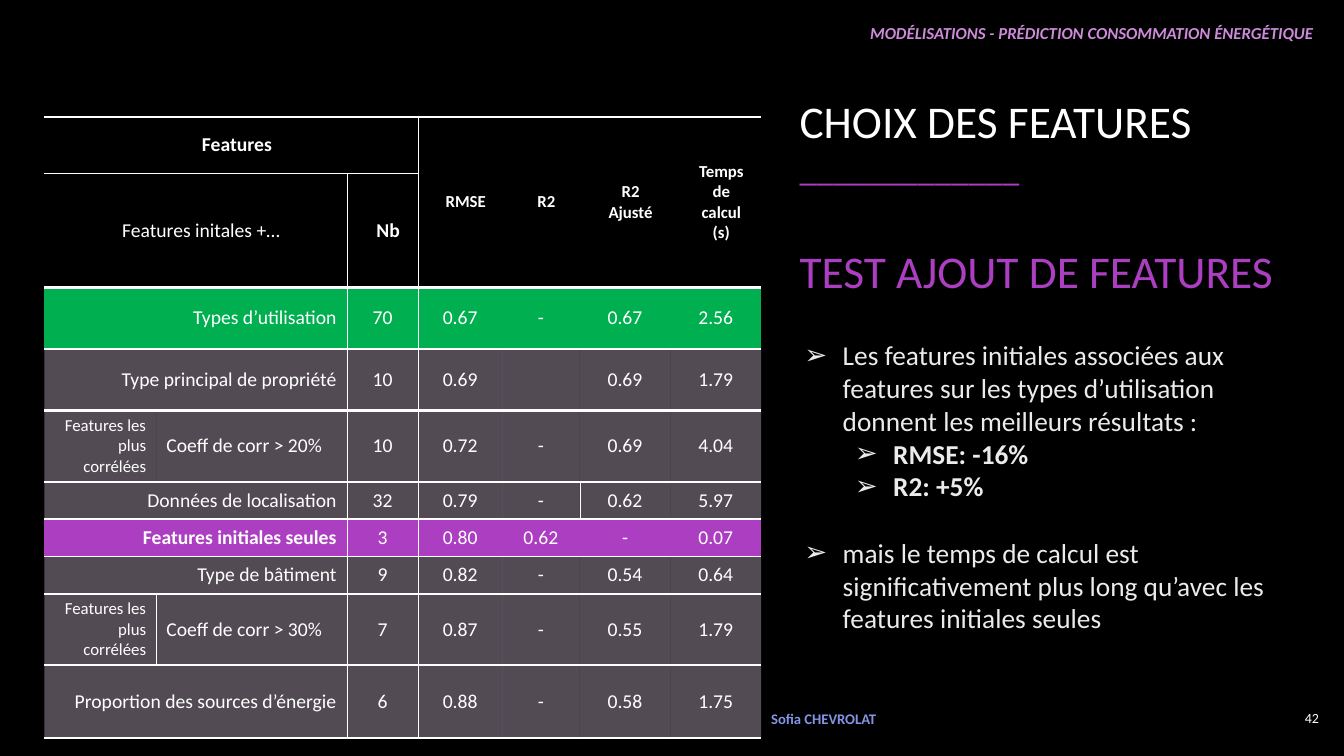
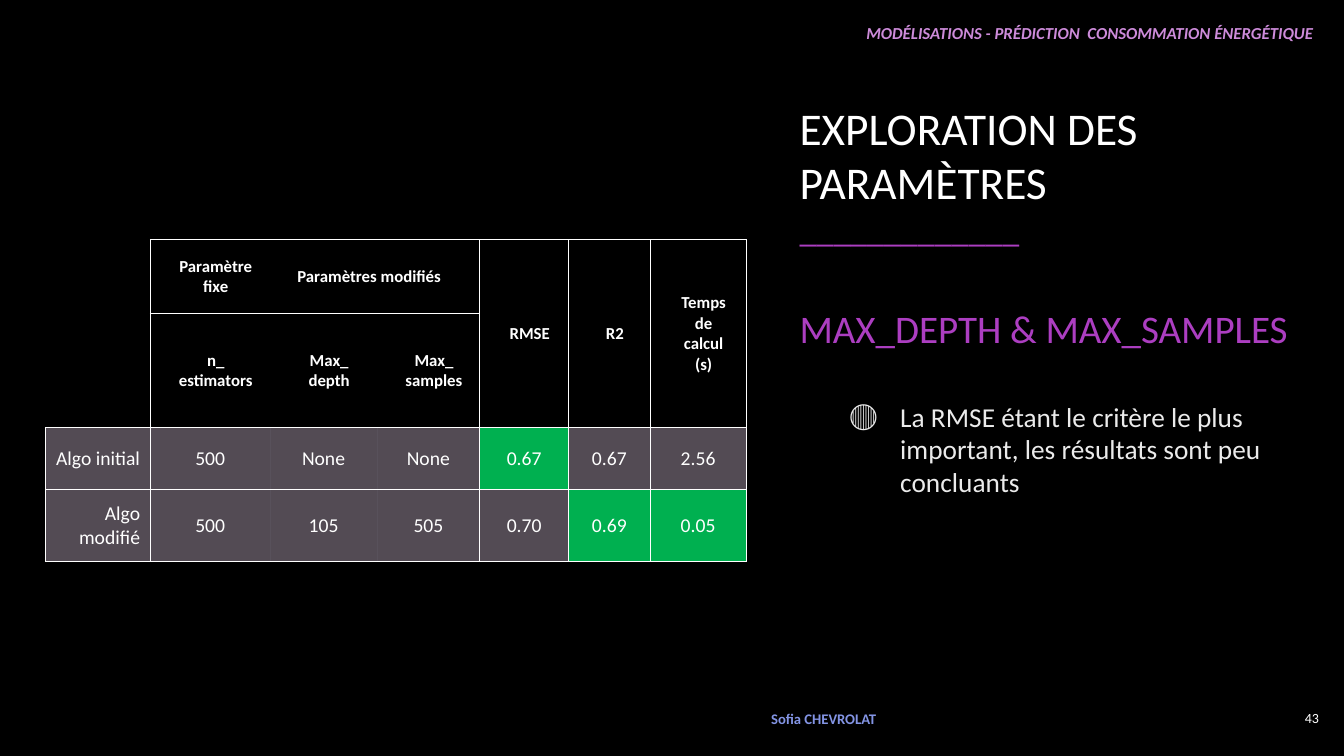
from copy import deepcopy

from lxml import etree
from pptx import Presentation
from pptx.dml.color import RGBColor
from pptx.enum import text as t
from pptx.oxml import ns
from pptx.util import Inches, Pt

FONT = "Calibri"
WHITE, BLACK, PALE = "FFFFFF", "000000", "EBEBEB"
PURPLE, LILAC, BLUE = "AC3EC1", "CD8BDA", "8394E4"
GREEN, VEIL = "00B050", "EED8F3"
LEFT, MID, RIGHT = t.PP_ALIGN.LEFT, t.PP_ALIGN.CENTER, t.PP_ALIGN.RIGHT
MIDDLE, TOP = t.MSO_ANCHOR.MIDDLE, t.MSO_ANCHOR.TOP
PLAIN = "{2D5ABB26-0587-4C30-8999-92F81FD0307C}"  # no style, no grid
ORDER = ["lnL", "lnR", "lnT", "lnB", "noFill", "solidFill"]


# Text
def paint(fill, color):
    fill.solid()
    fill.fore_color.rgb = RGBColor.from_string(color)


def style(para, size, color, bold=False, italic=False, align=LEFT):
    para.alignment = align
    for run in para.runs:
        font = run.font
        font.name, font.size = FONT, Pt(size)
        font.bold, font.italic = bold, italic
        paint(font.fill, color)


def place(shape, at, anchor=MIDDLE):
    shape.left, shape.top, shape.width, shape.height = map(Inches, at)
    frame = shape.text_frame
    frame.word_wrap = True
    frame.auto_size = t.MSO_AUTO_SIZE.NONE
    frame.vertical_anchor = anchor
    return frame


def box(slide, at, anchor=MIDDLE):
    return place(slide.shapes.add_textbox(0, 0, 0, 0), at, anchor)


def label(slide, at, words, size, color, anchor=MIDDLE, **look):
    frame = box(slide, at, anchor)
    frame.text = words
    style(frame.paragraphs[0], size, color, **look)


def bullets(slide, at, items):
    """Each item: words, mark, indent, hang, bold, space before."""
    frame = box(slide, at)
    for i, (words, mark, indent, hang, bold, gap) in enumerate(items):
        para = frame.add_paragraph() if i else frame.paragraphs[0]
        para.text = words
        props = para._p.get_or_add_pPr()
        props.set("marL", str(Inches(indent)))
        props.set("indent", str(-Inches(hang)))
        etree.SubElement(props, ns.qn("a:buFont")).set("typeface", FONT)
        etree.SubElement(props, ns.qn("a:buChar")).set("char", mark)
        if gap:
            para.space_before = Pt(gap)
        style(para, 19.5, PALE, bold)


# Shared slide parts
def page(prs, strap, number, at, title, topic, size):
    slide = prs.slides.add_slide(prs.slide_layouts[5])
    frame = place(slide.shapes.title, at)
    frame.text = "\n".join([title, "_" * 13, topic])
    looks = [(32.4, WHITE), (24.3, PURPLE), (size, PURPLE)]
    for para, look in zip(frame.paragraphs, looks):
        style(para, *look)
    frame.paragraphs[2].space_before = Pt(39)
    label(slide, (7.67, 0.18, 5.46, 0.3), strap, 12, LILAC, TOP,
          bold=True, italic=True, align=RIGHT)
    label(slide, (7.55, 6.92, 1.76, 0.41), "Sofia CHEVROLAT", 10.5, BLUE,
          bold=True)
    label(slide, (12.58, 6.92, 0.6, 0.41), number, 10, WHITE, align=RIGHT)
    return slide


# Tables
def grid(slide, spot, cols, rows):
    left, top = spot
    frame = slide.shapes.add_table(
        len(rows), len(cols), Inches(left), Inches(top),
        Inches(sum(cols)), Inches(sum(rows)))
    table = frame.table
    table.first_row = table.horz_banding = False
    table._tbl.tblPr.find(ns.qn("a:tableStyleId")).text = PLAIN
    for col, width in zip(table.columns, cols):
        col.width = Inches(width)
    for row, height in zip(table.rows, rows):
        row.height = Inches(height)
    return table


def write(cell, words, size, bold=False, align=MID):
    cell.vertical_anchor = MIDDLE
    cell.text = words
    for para in cell.text_frame.paragraphs:
        style(para, size, WHITE, bold, align=align)


def head(cell, words, size=12, bold=True, align=MID):
    cell.margin_left = Inches(0.27)
    cell.margin_right = cell.margin_top = cell.margin_bottom = Inches(0.16)
    write(cell, words, size, bold, align)


def tint(cell, color=VEIL):
    paint(cell.fill, color)
    if color == VEIL:
        for node in cell._tc.tcPr.iter(ns.qn("a:srgbClr")):
            etree.SubElement(node, ns.qn("a:alpha")).set("val", "35000")


def edge(cell, side, width):
    props = cell._tc.get_or_add_tcPr()
    line = etree.SubElement(props, ns.qn("a:ln" + side), w=str(Pt(width)))
    if width:
        fill = etree.SubElement(line, ns.qn("a:solidFill"))
        etree.SubElement(fill, ns.qn("a:srgbClr")).set("val", WHITE)
    else:
        etree.SubElement(line, ns.qn("a:noFill"))


def across(table, y, cols, width):
    for x in cols:
        if y:
            edge(table.cell(y - 1, x), "B", width)
        if y < len(table.rows):
            edge(table.cell(y, x), "T", width)


def down(table, x, rows, width):
    for y in rows:
        if x:
            edge(table.cell(y, x - 1), "R", width)
        if x < len(table.columns):
            edge(table.cell(y, x), "L", width)


def close(table):
    """Carry outer lines to merged cells and clear every unset side."""
    for y in range(len(table.rows)):
        for x in range(len(table.columns)):
            cell = table.cell(y, x)
            props = cell._tc.get_or_add_tcPr()
            if cell.is_merge_origin:
                far = table.cell(y + cell.span_height - 1,
                                 x + cell.span_width - 1)
                for side in "RB":
                    tag = ns.qn("a:ln" + side)
                    line = far._tc.get_or_add_tcPr().find(tag)
                    if props.find(tag) is None and line is not None:
                        props.append(deepcopy(line))
            for side in "LRTB":
                if props.find(ns.qn("a:ln" + side)) is None:
                    edge(cell, side, 0)
            props[:] = sorted(props, key=lambda node: ORDER.index(
                etree.QName(node).localname))


def merge(table, *spans):
    for y, x, last_y, last_x in spans:
        table.cell(y, x).merge(table.cell(last_y, last_x))


# Feature scores
def scores(slide):
    table = grid(slide, (0.44, 1.16),
                 [1.11, 1.89, 0.71, 0.83, 0.77, 0.9, 0.9],
                 [0.56, 1.12, 0.61, 0.61, 0.71, 0.37, 0.37, 0.37, 0.71, 0.72])
    top = "Features les plus corrélées"
    data = [
        ("Types d’utilisation", "", "70", "0.67", "-", "0.67", "2.56"),
        ("Type principal de propriété", "", "10", "0.69", "", "0.69", "1.79"),
        (top, "Coeff de corr > 20%", "10", "0.72", "-", "0.69", "4.04"),
        ("Données de localisation", "", "32", "0.79", "-", "0.62", "5.97"),
        ("Features initiales seules", "", "3", "0.80", "0.62", "-", "0.07"),
        ("Type de bâtiment", "", "9", "0.82", "-", "0.54", "0.64"),
        (top, "Coeff de corr > 30%", "7", "0.87", "-", "0.55", "1.79"),
        ("Proportion des sources d’énergie", "", "6", "0.88", "-", "0.58",
         "1.75"),
    ]
    merge(table, (0, 0, 0, 2), (1, 0, 1, 1),
          *[(0, x, 1, x) for x in range(3, 7)])
    head(table.cell(0, 0), "Features", 14)
    head(table.cell(1, 0), "Features initales +…", 14, False)
    head(table.cell(1, 2), "Nb", 14)
    for x, words in enumerate(
            ["RMSE", "R2", "R2 Ajusté", "Temps de calcul (s)"], 3):
        head(table.cell(0, x), words)
    colors = {2: GREEN, 6: PURPLE}
    for y, row in enumerate(data, 2):
        if not row[1]:
            merge(table, (y, 0, y, 1))
        for x, words in enumerate(row):
            cell = table.cell(y, x)
            tint(cell, colors.get(y, VEIL))
            if words:
                write(cell, words, 12 if words == top else 14,
                      y == 6 and x == 0, {0: RIGHT, 1: LEFT}.get(x, MID))
    # Rules
    every = range(7)
    across(table, 1, range(3), 0.25)
    for y in [0, *range(2, 11)]:
        across(table, y, every, 2.25 if 2 <= y <= 4 else 1.5)
    down(table, 3, range(10), 1)
    down(table, 2, range(1, 10), 0.25)
    down(table, 1, [8], 0.25)
    down(table, 5, [5], 0.25)
    close(table)


# Parameter trials
def trials(slide):
    table = grid(slide, (0.45, 2.38),
                 [1.04, 1.19, 1.06, 1.02, 0.88, 0.81, 0.95],
                 [0.73, 1.11, 0.61, 0.72])
    merge(table, (0, 2, 0, 3), *[(0, x, 1, x) for x in range(4, 7)])
    head(table.cell(0, 1), "Paramètre fixe")
    head(table.cell(0, 2), "Paramètres modifiés", align=LEFT)
    for x, words in enumerate(["RMSE", "R2", "Temps de calcul (s)"], 4):
        head(table.cell(0, x), words)
    for x, words in enumerate(
            ["n_\nestimators", "Max_\ndepth", "Max_\nsamples"], 1):
        head(table.cell(1, x), words)
    data = [
        ("Algo initial", "500", "None", "None", "0.67", "0.67", "2.56"),
        ("Algo modifié", "500", "105", "505", "0.70", "0.69", "0.05"),
    ]
    best = {(2, 4), (3, 5), (3, 6)}
    for y, row in enumerate(data, 2):
        for x, words in enumerate(row):
            tint(table.cell(y, x), GREEN if (y, x) in best else VEIL)
            write(table.cell(y, x), words, 14, align=MID if x else RIGHT)
    # Rules
    across(table, 0, range(1, 7), 0.75)
    across(table, 1, range(1, 4), 0.25)
    across(table, 2, [0], 0.75)
    across(table, 2, range(1, 7), 1)
    for y in (3, 4):
        across(table, y, range(7), 0.75)
    down(table, 0, (2, 3), 0.75)
    for x in (1, 4, 5, 6, 7):
        down(table, x, range(4), 0.75)
    close(table)


def main():
    prs = Presentation()
    prs.slide_width, prs.slide_height = Inches(13.33), Inches(7.5)
    paint(prs.slide_master.background.fill, BLACK)

    # Choice of features
    slide = page(prs, "MODÉLISATIONS - PRÉDICTION CONSOMMATION ÉNERGÉTIQUE",
                 "42", (7.83, 0.99, 5.05, 1.89),
                 "CHOIX DES FEATURES", "TEST AJOUT DE FEATURES", 32.4)
    scores(slide)
    bullets(slide, (7.88, 2.92, 5.05, 3.81), [
        ("Les features initiales associées aux features sur les types "
         "d’utilisation donnent les meilleurs résultats :",
         "➢", 0.38, 0.38, False, 0),
        ("RMSE: -16%", "➢", 0.88, 0.38, True, 0),
        ("R2: +5%", "➢", 0.88, 0.38, True, 0),
        ("mais le temps de calcul est significativement plus long qu’avec "
         "les features initiales seules", "➢", 0.38, 0.38, False, 24),
    ])

    # Parameter search
    slide = page(prs, "MODÉLISATIONS - PRÉDICTION  CONSOMMATION ÉNERGÉTIQUE",
                 "43", (7.83, 0.9, 5.31, 2.67),
                 "EXPLORATION DES PARAMÈTRES", "MAX_DEPTH & MAX_SAMPLES", 27.9)
    trials(slide)
    bullets(slide, (7.83, 3.75, 5.05, 1.41), [
        ("La RMSE étant le critère le plus important, les résultats sont "
         "peu concluants", "🔴", 1, 0.5, False, 0),
    ])
    prs.save("out.pptx")


if __name__ == "__main__":
    main()
